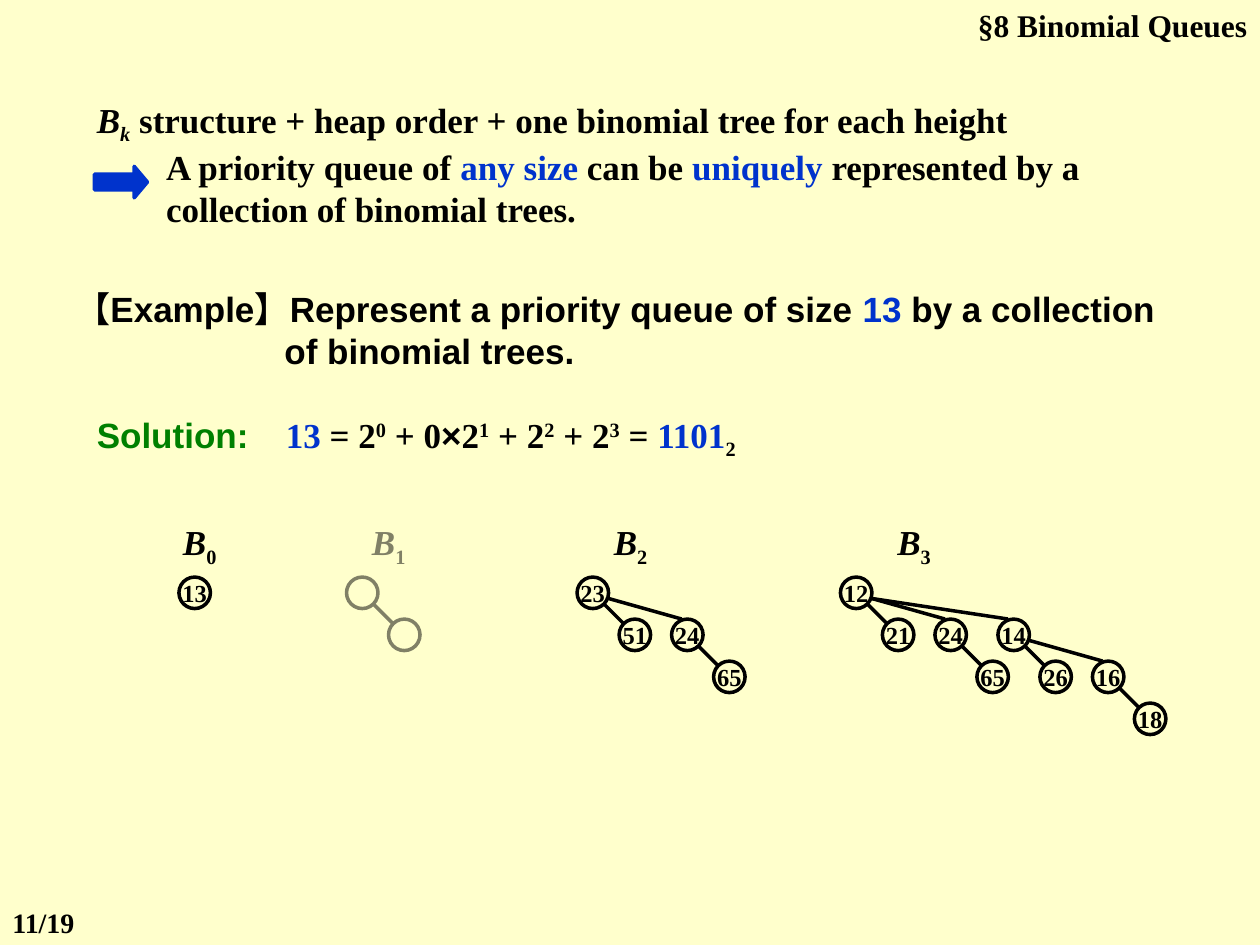
"""Build the slide on binomial queues of size 13."""
import pptx
import pptx.dml.color
import pptx.enum.shapes
import pptx.enum.text
import pptx.oxml
import pptx.oxml.ns
import pptx.util
from pptx.util import Inches

BLACK = pptx.dml.color.RGBColor(0x00, 0x00, 0x00)
BLUE = pptx.dml.color.RGBColor(0x00, 0x33, 0xCC)
GREEN = pptx.dml.color.RGBColor(0x00, 0x80, 0x00)
CREAM = pptx.dml.color.RGBColor(0xFF, 0xFF, 0xCC)
SERIF = "Times New Roman"
SANS = "Arial"
SHAPE = pptx.enum.shapes.MSO_SHAPE
ALIGN = pptx.enum.text.PP_ALIGN
ANCHOR = pptx.enum.text.MSO_ANCHOR

NODE = 0.25
LEVEL = 1 / 3
CHILD_SHIFTS = (1 / 3, 0.75, 1.25)
ROOT_TOP = 4.58
LABEL_TOP = 4.08

LEAF_PAIR = ("24", [("65", [])])
FOREST = [
    (1.25, 1.42, ("13", [])),
    (2.75, 2.75, ("", [("", [])])),
    (4.67, 4.58, ("23", [("51", []), LEAF_PAIR])),
    (6.92, 6.67, ("12", [("21", []), LEAF_PAIR,
                         ("14", [("26", []), ("16", [("18", [])])])])),
]


def add_spans(para, spans, size=20, font=SERIF):
    """Add (text, options) runs to a paragraph."""
    for text, options in spans:
        span = para.add_run()
        span.text = text
        span.font.size = pptx.util.Pt(size)
        span.font.name = options.get("font", font)
        span.font.bold = True
        span.font.italic = options.get("italic", False)
        span.font.color.rgb = options.get("color", BLACK)
        if "base" in options:
            span._r.get_or_add_rPr().set("baseline", str(options["base"] * 1000))


def indent(para, left, first=0.0):
    """Set the left margin and first-line indent of a paragraph."""
    properties = para._p.get_or_add_pPr()
    properties.set("marL", str(Inches(left)))
    properties.set("indent", str(Inches(first)))


def add_text(page, left, top, width, height, spans, **style):
    """Add a wrapping text box and return its first paragraph and frame."""
    box = page.shapes.add_textbox(*map(Inches, (left, top, width, height)))
    box.text_frame.word_wrap = True
    para = box.text_frame.paragraphs[0]
    add_spans(para, spans, **style)
    return para, box.text_frame


def add_title(page, text):
    """Place the section heading in the title placeholder."""
    box = page.shapes.title
    box.left, box.top, box.width, box.height = map(Inches, (7.42, 0, 2.58, 0.4))
    frame = box.text_frame
    frame.auto_size = pptx.enum.text.MSO_AUTO_SIZE.NONE
    frame.vertical_anchor = ANCHOR.TOP
    para = frame.paragraphs[0]
    para.alignment = ALIGN.RIGHT
    add_spans(para, [(text, {})], size=18)


def add_filled(page, kind, left, top, width, height, color):
    """Add a filled preset shape without an outline."""
    shape = page.shapes.add_shape(kind, *map(Inches, (left, top, width, height)))
    shape.shadow.inherit = False
    shape.fill.solid()
    shape.fill.fore_color.rgb = color
    shape.line.fill.background()
    return shape


def add_edge(page, start, end):
    """Join two points with a black line."""
    edge = page.shapes.add_connector(
        pptx.enum.shapes.MSO_CONNECTOR.STRAIGHT, *map(Inches, (*start, *end)))
    edge.line.color.rgb = BLACK
    edge.line.width = pptx.util.Pt(2)
    edge._element.spPr.append(pptx.oxml.parse_xml(
        "<a:effectLst %s/>" % pptx.oxml.ns.nsdecls("a")))


def add_node(page, left, top, key):
    """Draw one tree node with its key."""
    node = page.shapes.add_shape(
        SHAPE.OVAL, *map(Inches, (left, top, NODE, NODE)))
    node.shadow.inherit = False
    node.fill.background()
    node.line.color.rgb = BLACK
    node.line.width = pptx.util.Pt(2)
    if key:
        frame = node.text_frame
        frame.word_wrap = False
        frame.vertical_anchor = ANCHOR.MIDDLE
        frame.paragraphs[0].alignment = ALIGN.CENTER
        add_spans(frame.paragraphs[0], [(key, {})], size=14)


def add_tree(page, left, top, tree):
    """Draw a tree, its first child on a diagonal and the others further right."""
    key, children = tree
    add_node(page, left, top, key)
    for order, (shift, child) in enumerate(zip(CHILD_SHIFTS, children)):
        child_left, child_top = left + shift, top + LEVEL
        if order == 0:
            add_edge(page, (left + 0.21, top + 0.21),
                     (child_left + 0.04, child_top + 0.04))
        else:
            add_edge(page, (left + NODE, top + 0.17),
                     (child_left + 0.08, child_top))
        add_tree(page, child_left, child_top, child)


def add_statement(page):
    """Write the claim about priority queues and its arrow."""
    first, frame = add_text(page, 0.67, 0.73, 8.42, 1.15, [
        ("B", {"italic": True}),
        ("k", {"italic": True, "base": -25}),
        (" structure + heap order + one binomial tree for each height", {})])
    for spans in (
            [("A priority queue of ", {}), ("any size", {"color": BLUE}),
             (" can be ", {}), ("uniquely", {"color": BLUE}),
             (" represented by a", {})],
            [("collection of binomial trees.", {})]):
        para = frame.add_paragraph()
        indent(para, 0.55)
        add_spans(para, spans)
    arrow = add_filled(page, SHAPE.RIGHT_ARROW, 0.75, 1.32, 0.42, 0.25, BLUE)
    arrow.adjustments[0] = 0.5
    arrow.adjustments[1] = 0.42
    arrow.line.color.rgb = BLUE
    arrow.line.width = pptx.util.Pt(2)


def add_example(page):
    """Write the example and its solution."""
    para, _ = add_text(page, 0.5, 2.23, 9, 0.77, [
        ("【Example】Represent a priority queue of size ", {}),
        ("13", {"color": BLUE}),
        (" by a collection of binomial trees.", {})], font=SANS)
    indent(para, 1.66, -1.66)
    add_text(page, 0.67, 3.23, 1.67, 0.44,
             [("Solution:", {"color": GREEN})], font=SANS)
    power = {"base": 30}
    add_text(page, 2.17, 3.23, 4.58, 0.48, [
        ("13", {"color": BLUE}), (" = 2", {}), ("0", power), (" + 0", {}),
        ("×", {"font": SANS}), ("2", {}), ("1", power), (" + 2", {}),
        ("2", power), (" + 2", {}), ("3", power), (" = ", {}),
        ("1101", {"color": BLUE}), ("2", {"base": -25})])


def add_forest(page):
    """Draw the labelled trees and fade the unused one."""
    for rank, (label_left, root_left, tree) in enumerate(FOREST):
        para, _ = add_text(page, label_left, LABEL_TOP, 0.67, 0.48, [
            ("B", {"italic": True}), (str(rank), {"base": -25})])
        para.alignment = ALIGN.CENTER
        add_tree(page, root_left, ROOT_TOP, tree)
    veil = add_filled(page, SHAPE.RECTANGLE, 2.5, LABEL_TOP, 1.17, 1.17, CREAM)
    color = veil._element.spPr.find(".//" + pptx.oxml.ns.qn("a:srgbClr"))
    color.append(pptx.oxml.parse_xml(
        '<a:alpha %s val="50000"/>' % pptx.oxml.ns.nsdecls("a")))


def main():
    """Assemble and save the deck."""
    deck = pptx.Presentation()
    deck.slide_width, deck.slide_height = Inches(10), Inches(7.5)
    page = deck.slides.add_slide(deck.slide_layouts[5])
    page.background.fill.solid()
    page.background.fill.fore_color.rgb = CREAM
    add_title(page, "§8 Binomial Queues")
    add_example(page)
    add_statement(page)
    add_forest(page)
    add_text(page, 0, 7.14, 0.75, 0.37, [("11/19", {})], size=16)
    deck.save("out.pptx")


if __name__ == "__main__":
    main()
